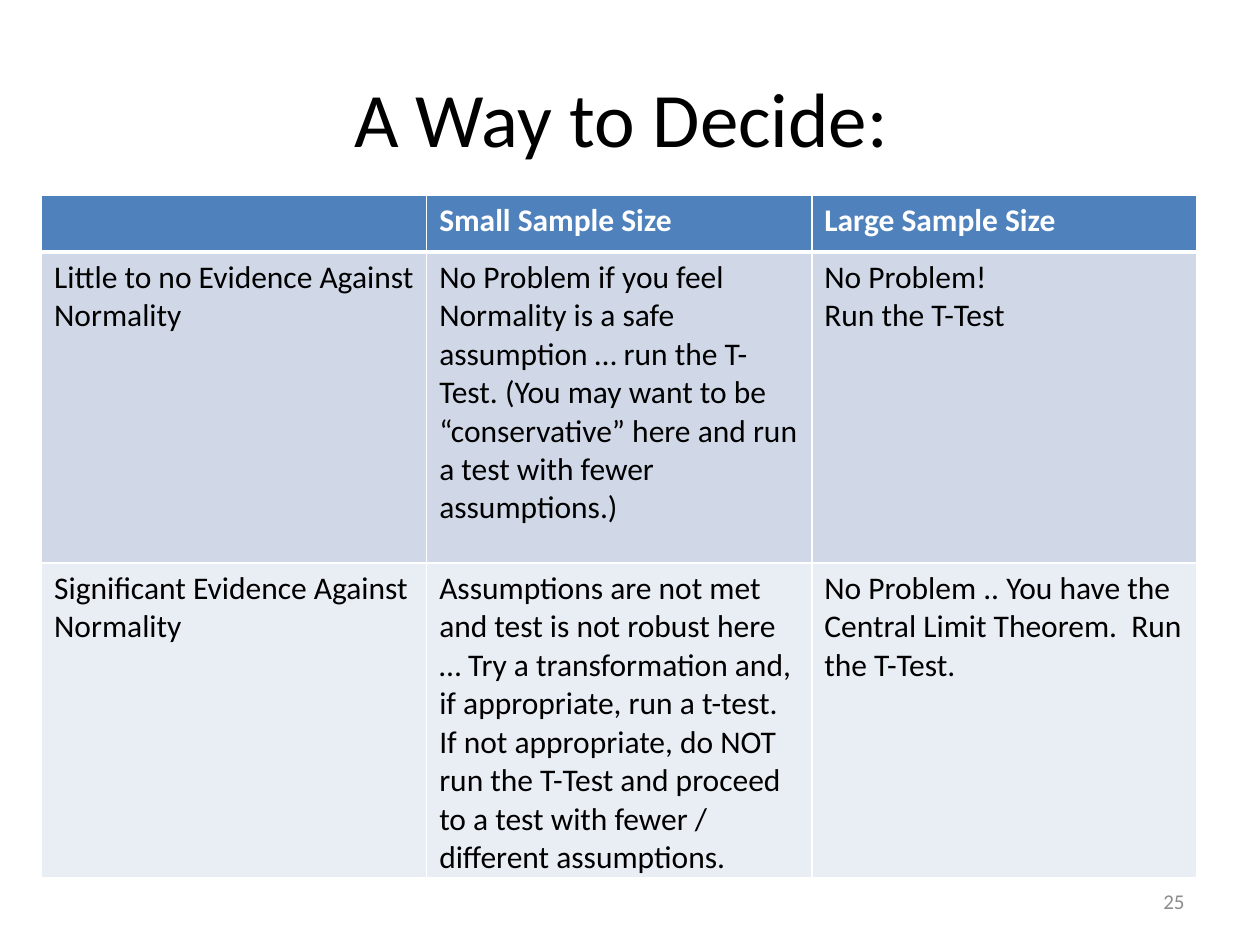
from lxml import etree
from pptx import Presentation
from pptx.dml.color import RGBColor
from pptx.enum.text import MSO_ANCHOR as ANCHOR, PP_ALIGN as ALIGN
from pptx.oxml.ns import qn
from pptx.util import Inches, Pt

FONT = "Calibri"
ROW_HEIGHTS = [0.45, 2.47, 2.47]
ROW_FILLS = ["4F81BD", "D0D8E8", "E9EDF4"]
ROWS = [
    ["", "Small Sample Size", "Large Sample Size"],
    ["Little to no Evidence Against Normality",
     "No Problem if you feel Normality is a safe assumption … run the T-Test. "
     "(You may want to be “conservative” here and run a test with fewer assumptions.)",
     "No Problem!\nRun the T-Test"],
    ["Significant Evidence Against Normality",
     "Assumptions are not met and test is not robust here … Try a transformation and, "
     "if appropriate, run a t-test. If not appropriate, do NOT run the T-Test and proceed "
     "to a test with fewer / different assumptions.",
     "No Problem .. You have the Central Limit Theorem.  Run the T-Test."],
]


def rgb(value):
    return RGBColor.from_string(value)


def style_text(tf, color, align=ALIGN.LEFT, **font_format):
    for p in tf.paragraphs:
        p.alignment = align
        p.font.color.rgb = rgb(color)
        for name, value in {"name": FONT, **font_format}.items():
            setattr(p.font, name, value)


def add_text(slide, box, text, color, size, align):
    tf = slide.shapes.add_textbox(*map(Inches, box)).text_frame
    tf.word_wrap = True
    tf.vertical_anchor = ANCHOR.MIDDLE
    tf.text = text
    style_text(tf, color, align, size=Pt(size))


def set_borders(cell, color, widths):
    """Draw the cell edges; widths maps L, R, T, B to points, in that order."""
    tc_pr = cell._tc.get_or_add_tcPr()
    for i, (side, width) in enumerate(widths.items()):
        ln = etree.Element(qn(f"a:ln{side}"), w=str(Pt(width)))
        fill = etree.SubElement(ln, qn("a:solidFill"))
        etree.SubElement(fill, qn("a:srgbClr"), val=color)
        tc_pr.insert(i, ln)


def add_decision_table(slide, left, top, width):
    n_cols = len(ROWS[0])
    table = slide.shapes.add_table(
        len(ROWS), n_cols, Inches(left), Inches(top),
        Inches(width), Inches(sum(ROW_HEIGHTS))).table
    for col in table.columns:
        col.width = Inches(width / n_cols)
    for r, texts in enumerate(ROWS):
        table.rows[r].height = Inches(ROW_HEIGHTS[r])
        header = r == 0
        for c, text in enumerate(texts):
            cell = table.cell(r, c)
            cell.text = text
            style_text(cell.text_frame, "FFFFFF" if header else "000000",
                       size=Pt(18), bold=header)
            cell.fill.solid()
            cell.fill.fore_color.rgb = rgb(ROW_FILLS[r])
            set_borders(cell, "FFFFFF", {"L": 1, "R": 1, "T": 3 if r == 1 else 1,
                                         "B": 3 if header else 1})


def main():
    prs = Presentation()
    prs.slide_width, prs.slide_height = Inches(10), Inches(7.5)
    slide = prs.slides.add_slide(prs.slide_layouts[6])
    add_text(slide, (0.5, 0.3, 9, 1.25), "A Way to Decide: ", "000000", 44, ALIGN.CENTER)
    add_decision_table(slide, 0.33, 1.55, 9.17)
    add_text(slide, (7.17, 6.95, 2.33, 0.4), "25", "8C8C8C", 12, ALIGN.RIGHT)
    prs.save("out.pptx")


if __name__ == "__main__":
    main()
